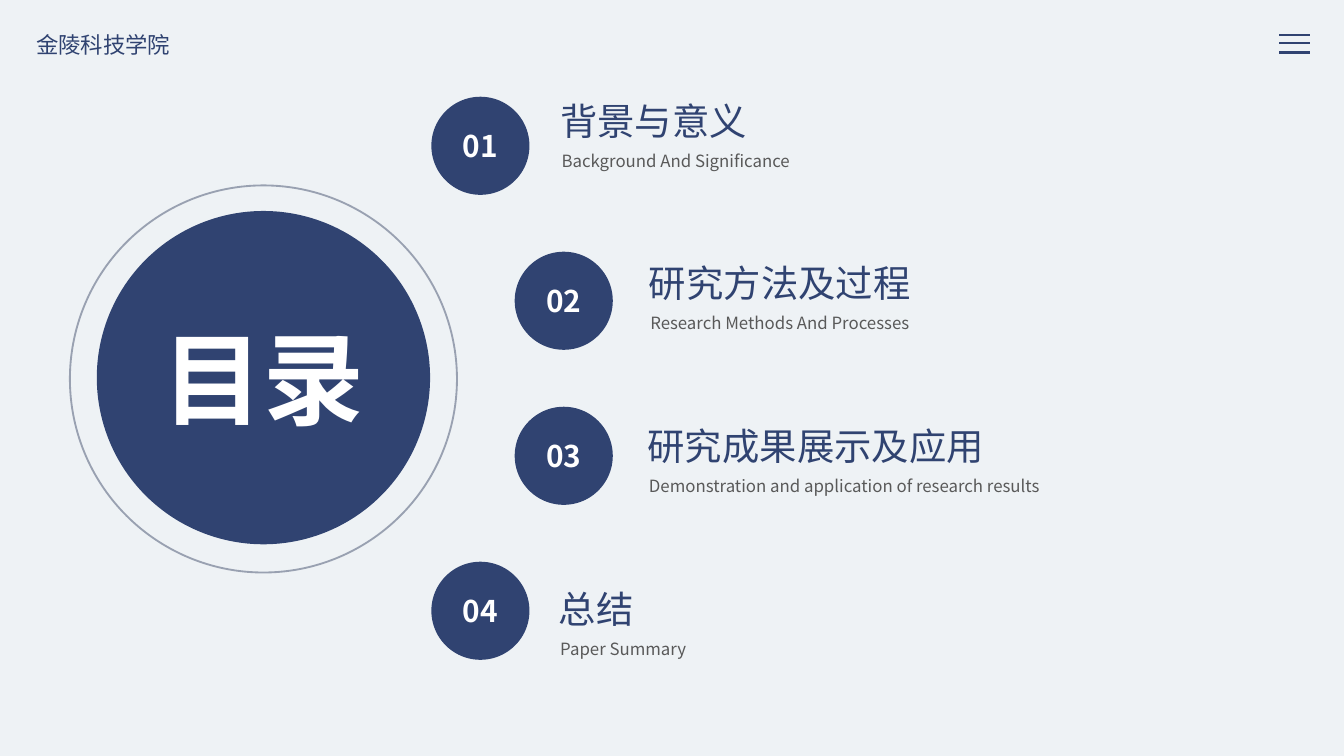
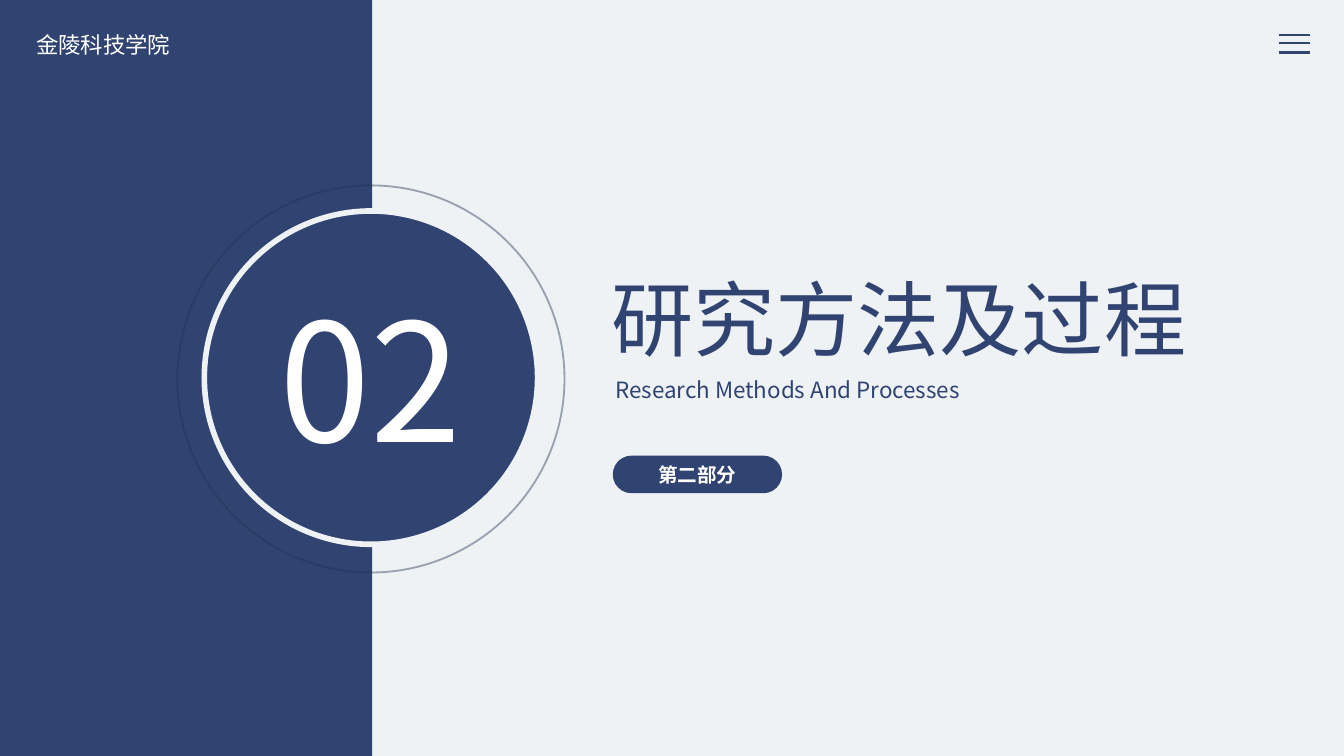
import dataclasses
import typing

import lxml.etree
import pptx
import pptx.dml.color
import pptx.enum.shapes
import pptx.enum.text
import pptx.oxml.ns
import pptx.util

Inches = pptx.util.Inches
Pt = pptx.util.Pt
qn = pptx.oxml.ns.qn
Shape = pptx.enum.shapes.MSO_SHAPE
Align = pptx.enum.text.PP_ALIGN


@dataclasses.dataclass(frozen=True)
class Theme:
    navy: str = "304371"
    deep: str = "243254"
    pale: str = "EEF2F5"
    white: str = "FFFFFF"
    grey: str = "595959"
    font: str = "Noto Sans CJK SC"
    small: float = 9
    tag: float = 10.5
    body: float = 12
    badge: float = 16
    item: float = 20
    head: float = 44
    cover: float = 54
    giant: float = 88


@dataclasses.dataclass(frozen=True)
class Box:
    left: float
    top: float
    width: float
    height: float

    def place(self) -> tuple:
        return tuple(Inches(v) for v in dataclasses.astuple(self))


@dataclasses.dataclass(frozen=True)
class Entry:
    title: str
    note: str
    disc: float
    left: float
    wide: float
    span: float


THEME = Theme()
ENTRIES = [
    Entry("背景与意义", "Background And Significance", 3.21, 4.07, 1.59, 1.9),
    Entry("研究方法及过程", "Research Methods And Processes", 3.83, 4.73, 2.17, 2.26),
    Entry("研究成果展示及应用", "Demonstration and application of research results",
          3.83, 4.72, 2.73, 3.25),
    Entry("总结", "Paper Summary", 3.21, 4.06, 0.76, 1.15),
]


def tint(code: str) -> pptx.dml.color.RGBColor:
    return pptx.dml.color.RGBColor.from_string(code)


def write(frame: typing.Any, text: str, *, size: float, color: str,
          bold: bool = False, align: typing.Any = Align.LEFT, wrap: bool = True) -> None:
    frame.word_wrap = wrap
    para = frame.paragraphs[0]
    para.alignment = align
    run = para.add_run()
    run.text = text
    run.font.size = Pt(size)
    run.font.bold = bold
    run.font.color.rgb = tint(color)
    run.font.name = THEME.font
    east = lxml.etree.SubElement(run._r.get_or_add_rPr(), qn("a:ea"))
    east.set("typeface", THEME.font)


def label(shapes: typing.Any, box: Box, text: str, *, wrap: bool = False,
          **style: typing.Any) -> None:
    frame = shapes.add_textbox(*box.place()).text_frame
    write(frame, text, wrap=wrap, **style)
    frame.auto_size = pptx.enum.text.MSO_AUTO_SIZE.SHAPE_TO_FIT_TEXT


def solid(shapes: typing.Any, kind: typing.Any, box: Box) -> typing.Any:
    shape = shapes.add_shape(kind, *box.place())
    shape.shadow.inherit = False
    shape.fill.solid()
    shape.fill.fore_color.rgb = tint(THEME.navy)
    shape.line.fill.background()
    return shape


def badge(shapes: typing.Any, kind: typing.Any, box: Box, text: str, size: float) -> typing.Any:
    shape = solid(shapes, kind, box)
    shape.text_frame.vertical_anchor = pptx.enum.text.MSO_ANCHOR.MIDDLE
    write(shape.text_frame, text, size=size, color=THEME.white, bold=True, align=Align.CENTER)
    return shape


def stroke(shape: typing.Any, color: str, width: float) -> None:
    shape.line.color.rgb = tint(color)
    shape.line.width = Pt(width)


def medal(shapes: typing.Any, left: float) -> typing.Any:
    ring = solid(shapes, Shape.OVAL, Box(left, 1.38, 2.88, 2.88))
    ring.fill.background()
    stroke(ring, THEME.deep, 1)
    hue = ring.line._ln.find(".//" + qn("a:srgbClr"))
    lxml.etree.SubElement(hue, qn("a:alpha")).set("val", "41000")
    return solid(shapes, Shape.OVAL, Box(left + 0.2, 1.57, 2.48, 2.48))


def menu(shapes: typing.Any) -> None:
    group = shapes.add_group_shape().shapes
    for top in (0.26, 0.32, 0.39):
        bar = group.add_connector(pptx.enum.shapes.MSO_CONNECTOR.STRAIGHT,
                                  Inches(9.52), Inches(top), Inches(9.75), Inches(top))
        stroke(bar, THEME.navy, 1.5)
        lxml.etree.SubElement(bar._element.spPr, qn("a:effectLst"))


def start(deck: typing.Any) -> typing.Any:
    slide = deck.slides.add_slide(deck.slide_layouts[6])
    slide.background.fill.solid()
    slide.background.fill.fore_color.rgb = tint(THEME.pale)
    return slide.shapes


def header(shapes: typing.Any, color: str) -> None:
    menu(shapes)
    label(shapes, Box(0.17, 0.18, 1.21, 0.3), "金陵科技学院", size=THEME.body, color=color)


def agenda(deck: typing.Any) -> None:
    shapes = start(deck)
    header(shapes, THEME.navy)
    medal(shapes, 0.52)
    for i, entry in enumerate(ENTRIES):
        badge(shapes, Shape.OVAL, Box(entry.disc, 0.72 + i * 3.46 / 3, 0.73, 0.73),
              f"{i + 1:02}", THEME.badge)
        group = shapes.add_group_shape().shapes
        top = 0.68 + i * 1.21
        label(group, Box(entry.left, top, entry.wide, 0.44), entry.title,
              size=THEME.item, color=THEME.navy)
        label(group, Box(entry.left + 0.01, top + 0.39, entry.span, 0.25), entry.note,
              size=THEME.small, color=THEME.grey)
    label(shapes, Box(1.1, 2.31, 1.72, 1.01), "目录", size=THEME.cover,
          color=THEME.white, bold=True, align=Align.CENTER)


def section(deck: typing.Any, entry: Entry, number: str, part: str) -> None:
    shapes = start(deck)
    band = solid(shapes, Shape.RECTANGLE, Box(0, 0, 2.77, 5.62))
    band.height = deck.slide_height
    header(shapes, THEME.white)
    stroke(medal(shapes, 1.32), THEME.pale, 3)
    label(shapes, Box(4.45, 1.95, 4.52, 0.84), entry.title, size=THEME.head, color=THEME.navy)
    label(shapes, Box(4.48, 2.75, 4.74, 0.3), entry.note, wrap=True,
          size=THEME.body, color=THEME.navy)
    pill = badge(shapes, Shape.ROUNDED_RECTANGLE, Box(4.56, 3.39, 1.26, 0.28), part, THEME.tag)
    pill.adjustments[0] = 0.5
    label(shapes, Box(1.84, 2.02, 1.83, 1.58), number, size=THEME.giant,
          color=THEME.white, align=Align.CENTER)


def main() -> None:
    deck = pptx.Presentation()
    deck.slide_width = Inches(10)
    deck.slide_height = Inches(10 * 9 / 16)
    agenda(deck)
    section(deck, ENTRIES[1], "02", "第二部分")
    deck.save("out.pptx")


if __name__ == "__main__":
    main()
